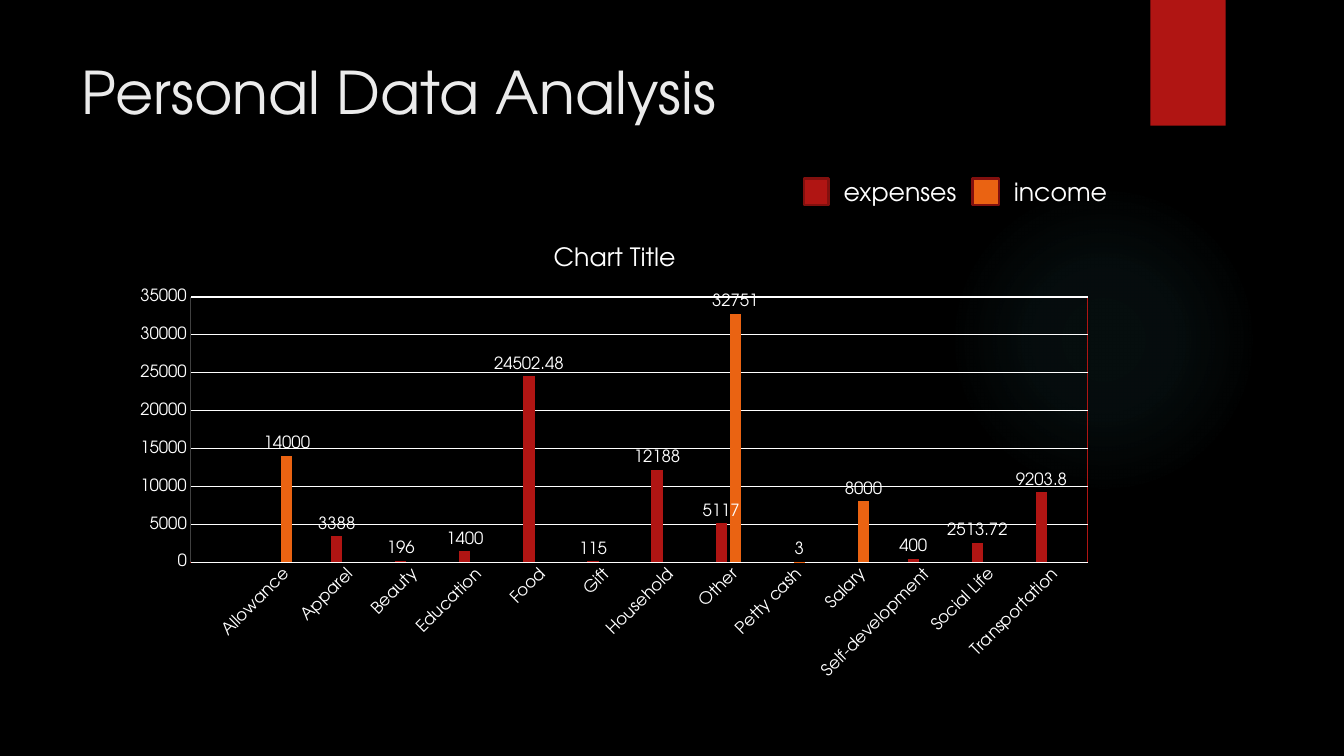
from dataclasses import dataclass

from lxml.etree import SubElement
from pptx import Presentation
from pptx.chart.data import CategoryChartData
from pptx.dml.color import RGBColor
from pptx.enum.chart import XL_CHART_TYPE as ChartType
from pptx.enum.chart import XL_LABEL_POSITION as LabelPosition
from pptx.enum.chart import XL_TICK_MARK as TickMark
from pptx.enum.shapes import MSO_SHAPE as Preset
from pptx.enum.text import MSO_ANCHOR as Anchor
from pptx.oxml import parse_xml
from pptx.oxml.ns import nsdecls, qn
from pptx.util import Cm, Pt

FONT = "TeX Gyre Adventor"
WHITE, RED, ORANGE, YELLOW, DARK_RED = "FFFFFF", "B01513", "EA6312", "E6B729", "82100E"


@dataclass
class LegendEntry:
    label: str
    color: str
    swatch_left: float
    swatch_width: float
    text_left: float
    text_width: float


@dataclass
class DataSeries:
    name: str
    color: str
    amounts: dict[str, float]


CATEGORIES = ["", "Allowance", "Apparel", "Beauty", "Education", "Food", "Gift",
              "Household", "Other", "Petty cash", "Salary", "Self-development",
              "Social Life", "Transportation"]
SERIES = [
    DataSeries("Series 1", RED, {
        "Apparel": 3388, "Beauty": 196, "Education": 1400, "Food": 24502.48,
        "Gift": 115, "Household": 12188, "Other": 5117, "Self-development": 400,
        "Social Life": 2513.72, "Transportation": 9203.8}),
    DataSeries("Series 2", ORANGE, {
        "Allowance": 14000, "Other": 32751, "Petty cash": 3, "Salary": 8000}),
    DataSeries("Series 3", YELLOW, {}),
]
LEGEND = [
    LegendEntry("expenses", RED, 20.27, 0.61, 21.01, 3.4),
    LegendEntry("income", ORANGE, 24.51, 0.66, 25.3, 2.9),
]


def rgb(color: str) -> RGBColor:
    return RGBColor.from_string(color)


def style_font(font, size: float, color: str = WHITE) -> None:
    font.name, font.size, font.bold = FONT, Pt(size), False
    font.color.rgb = rgb(color)


def style_line(line, color: str, width: float = 0.75) -> None:
    line.color.rgb = rgb(color)
    line.width = Pt(width)


def add_text(slide, text: str, *, left: float, top: float, width: float,
             height: float, size: float, color: str = WHITE):
    shape = slide.shapes.add_textbox(Cm(left), Cm(top), Cm(width), Cm(height))
    frame = shape.text_frame
    frame.word_wrap = True
    frame.vertical_anchor = Anchor.TOP
    run = frame.paragraphs[0].add_run()
    run.text = text
    style_font(run.font, size, color)
    return shape


def add_block(slide, preset: Preset, color: str, left: float, top: float,
              width: float, height: float, border: str | None = None):
    shape = slide.shapes.add_shape(preset, Cm(left), Cm(top), Cm(width), Cm(height))
    shape.shadow.inherit = False
    shape.fill.solid()
    shape.fill.fore_color.rgb = rgb(color)
    if border:
        style_line(shape.line, border, 1.5)
    else:
        shape.line.fill.background()
    return shape


def add_glow(slide) -> None:
    shape = add_block(slide, Preset.OVAL, "50B9C1", 23.9, 4.65, 7.82, 7.82)
    stops = "".join(
        f'<a:gs pos="{position * 1000}"><a:srgbClr val="50B9C1">'
        f'<a:alpha val="{alpha * 1000}"/></a:srgbClr></a:gs>'
        for position, alpha in ((0, 7), (36, 6), (69, 0), (100, 0)))
    gradient = parse_xml(
        f'<a:gradFill {nsdecls("a")}><a:gsLst>{stops}</a:gsLst><a:path path="circle">'
        '<a:fillToRect l="50000" t="50000" r="50000" b="50000"/></a:path></a:gradFill>')
    properties = shape.element.spPr
    properties.replace(properties.find(qn("a:solidFill")), gradient)


def place_plot(chart, **fractions: float) -> None:
    """Fix the inner plot area and give it a red border."""
    plot_area = chart.element.find(".//" + qn("c:plotArea"))
    for layout in plot_area.findall(qn("c:layout")):
        plot_area.remove(layout)
    layout = parse_xml(f'<c:layout {nsdecls("c")}/>')
    manual = SubElement(layout, qn("c:manualLayout"))
    settings = {"layoutTarget": "inner", "xMode": "edge", "yMode": "edge", **fractions}
    for name, value in settings.items():
        SubElement(manual, qn(f"c:{name}")).set("val", str(value))
    plot_area.insert(0, layout)
    plot_area.append(parse_xml(
        f'<c:spPr {nsdecls("c", "a")}><a:noFill/><a:ln w="9525"><a:solidFill>'
        f'<a:srgbClr val="{RED}"/></a:solidFill></a:ln></c:spPr>'))


def add_budget_chart(slide) -> None:
    data = CategoryChartData()
    data.categories = CATEGORIES
    for series in SERIES:
        data.add_series(series.name, [series.amounts.get(name) for name in CATEGORIES])
    chart = slide.shapes.add_chart(ChartType.COLUMN_CLUSTERED, Cm(3.07), Cm(5.69),
                                   Cm(24.84), Cm(11.66), data).chart
    style_font(chart.font, 10)
    chart.has_legend = False
    chart.has_title = True
    title_run = chart.chart_title.text_frame.paragraphs[0].add_run()
    title_run.text = "Chart Title"
    style_font(title_run.font, 18)

    # Axes
    for axis in (chart.category_axis, chart.value_axis):
        axis.major_tick_mark = axis.minor_tick_mark = TickMark.NONE
        style_font(axis.tick_labels.font, 12)
    style_line(chart.category_axis.format.line, WHITE)
    label_body = chart.category_axis._element.find(qn("c:txPr")).find(qn("a:bodyPr"))
    label_body.set("rot", str(-45 * 60000))
    value_axis = chart.value_axis
    value_axis.minimum_scale, value_axis.maximum_scale = 0, 35000
    value_axis.major_unit = 5000
    style_line(value_axis.format.line, "404040")
    style_line(value_axis.major_gridlines.format.line, WHITE)

    # Columns
    plot = chart.plots[0]
    plot.gap_width, plot.overlap = 219, -27
    plot.vary_by_categories = False
    for column, series in zip(plot.series, SERIES):
        column.format.fill.solid()
        column.format.fill.fore_color.rgb = rgb(series.color)
        labels = column.data_labels
        labels.show_value = True
        labels.position = LabelPosition.OUTSIDE_END
        style_font(labels.font, 12)
    place_plot(chart, x=0.07, y=0.154, w=0.91, h=0.573)


def main() -> None:
    presentation = Presentation()
    presentation.slide_width, presentation.slide_height = Cm(33.87), Cm(19.05)
    slide = presentation.slides.add_slide(presentation.slide_layouts[6])
    slide.background.fill.solid()
    slide.background.fill.fore_color.rgb = rgb("000000")

    # Backdrop and title
    add_glow(slide)
    add_block(slide, Preset.RECTANGLE, RED, 28.99, 0, 1.9, 3.17)
    add_text(slide, "Personal Data Analysis", left=1.8, top=1.27, width=26.14,
             height=3.89, size=42, color="EBEBEB")

    # Chart and its legend
    add_budget_chart(slide)
    for entry in LEGEND:
        add_block(slide, Preset.RECTANGLE, entry.color, entry.swatch_left, 4.5,
                  entry.swatch_width, 0.66, border=DARK_RED)
        add_text(slide, entry.label, left=entry.text_left, top=4.32,
                 width=entry.text_width, height=1.02, size=18)

    presentation.save("out.pptx")


if __name__ == "__main__":
    main()
